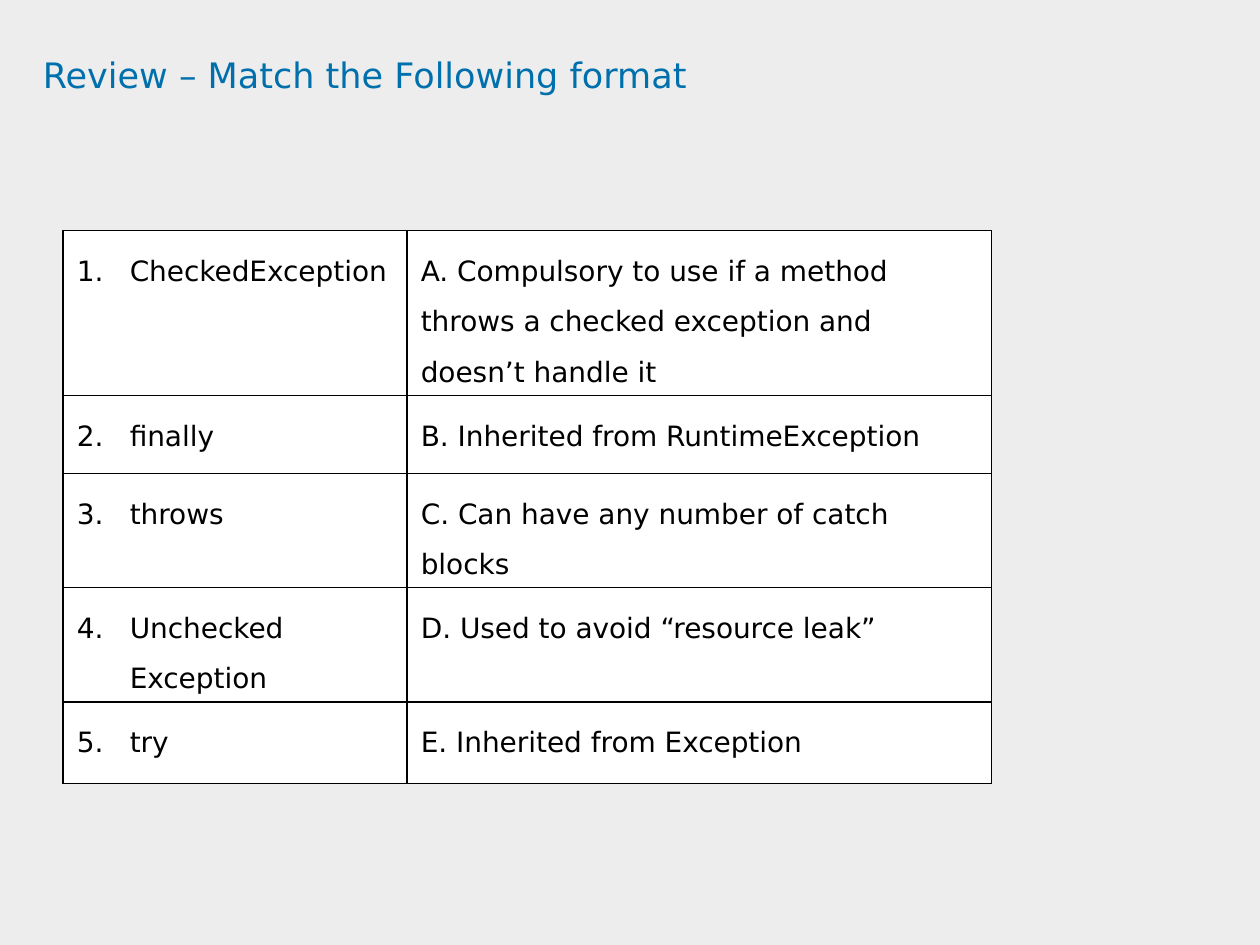
from lxml import etree
from pptx import Presentation
from pptx.dml.color import RGBColor
from pptx.enum.text import MSO_ANCHOR, PP_ALIGN
from pptx.oxml.ns import qn
from pptx.util import Inches, Pt

LEFT, TOP = PP_ALIGN.LEFT, MSO_ANCHOR.TOP
FONT = "DejaVu Sans"

# Content
TITLE = "Review – Match the Following format"
MATCHES = [
    ("CheckedException",
     "A. Compulsory to use if a method throws a checked exception and doesn’t handle it"),
    ("finally", "B. Inherited from RuntimeException"),
    ("throws", "C. Can have any number of catch blocks"),
    ("Unchecked Exception", "D. Used to avoid “resource leak”"),
    ("try", "E. Inherited from Exception"),
]
COLUMN_WIDTHS = [2.73, 4.64]
ROW_HEIGHTS = [1.3, 0.62, 0.9, 0.9, 0.65]


def color(hex_value):
    return RGBColor.from_string(hex_value)


def style_font(paragraph, size, hex_value):
    font = paragraph.font
    font.name, font.size, font.bold = FONT, Pt(size), False
    font.color.rgb = color(hex_value)


def number(paragraph, start, indent=0.42):
    props = paragraph._p.get_or_add_pPr()
    props.set("marL", str(Inches(indent)))
    props.set("indent", str(-Inches(indent)))
    etree.SubElement(props, qn("a:buFont"), typeface="+mj-lt")
    etree.SubElement(props, qn("a:buAutoNum"), type="arabicPeriod", startAt=str(start))


def add_borders(cell, hex_value="000000", width=1):
    props = cell._tc.get_or_add_tcPr()
    for position, side in enumerate(("a:lnL", "a:lnR", "a:lnT", "a:lnB")):
        line = etree.Element(qn(side), w=str(Pt(width)))
        fill = etree.SubElement(line, qn("a:solidFill"))
        etree.SubElement(fill, qn("a:srgbClr"), val=hex_value)
        props.insert(position, line)


def fill_cell(cell, text, start=None):
    cell.fill.solid()
    cell.fill.fore_color.rgb = color("FFFFFF")
    add_borders(cell)
    cell.margin_left = cell.margin_right = Inches(0.11)
    cell.margin_top = cell.margin_bottom = Inches(0.05)
    cell.vertical_anchor = TOP
    cell.text = text
    paragraph = cell.text_frame.paragraphs[0]
    if start:
        number(paragraph, start)
    paragraph.line_spacing = Pt(29)
    style_font(paragraph, 16, "000000")


prs = Presentation()
prs.slide_width, prs.slide_height = Inches(10), Inches(7.5)
slide = prs.slides.add_slide(prs.slide_layouts[5])
slide.background.fill.solid()
slide.background.fill.fore_color.rgb = color("EDEDED")

# Title
title = slide.shapes.title
title.left, title.top = Inches(0.34), Inches(0.46)
title.width, title.height = Inches(9.09), Inches(0.94)
frame = title.text_frame
frame.text = TITLE
frame.word_wrap = True
frame.vertical_anchor = TOP
frame.margin_left = frame.margin_right = frame.margin_top = frame.margin_bottom = 0
heading = frame.paragraphs[0]
heading.alignment = LEFT
heading.line_spacing = 0.9
style_font(heading, 20, "0070AD")

# Matching table
table = slide.shapes.add_table(
    len(MATCHES), len(COLUMN_WIDTHS), Inches(0.5), Inches(1.83),
    Inches(sum(COLUMN_WIDTHS)), Inches(sum(ROW_HEIGHTS))).table
table.first_row = table.horz_banding = False
for column, width in zip(table.columns, COLUMN_WIDTHS):
    column.width = Inches(width)
for index, (term, meaning) in enumerate(MATCHES):
    table.rows[index].height = Inches(ROW_HEIGHTS[index])
    fill_cell(table.cell(index, 0), term, start=index + 1)
    fill_cell(table.cell(index, 1), meaning)

prs.save("out.pptx")
